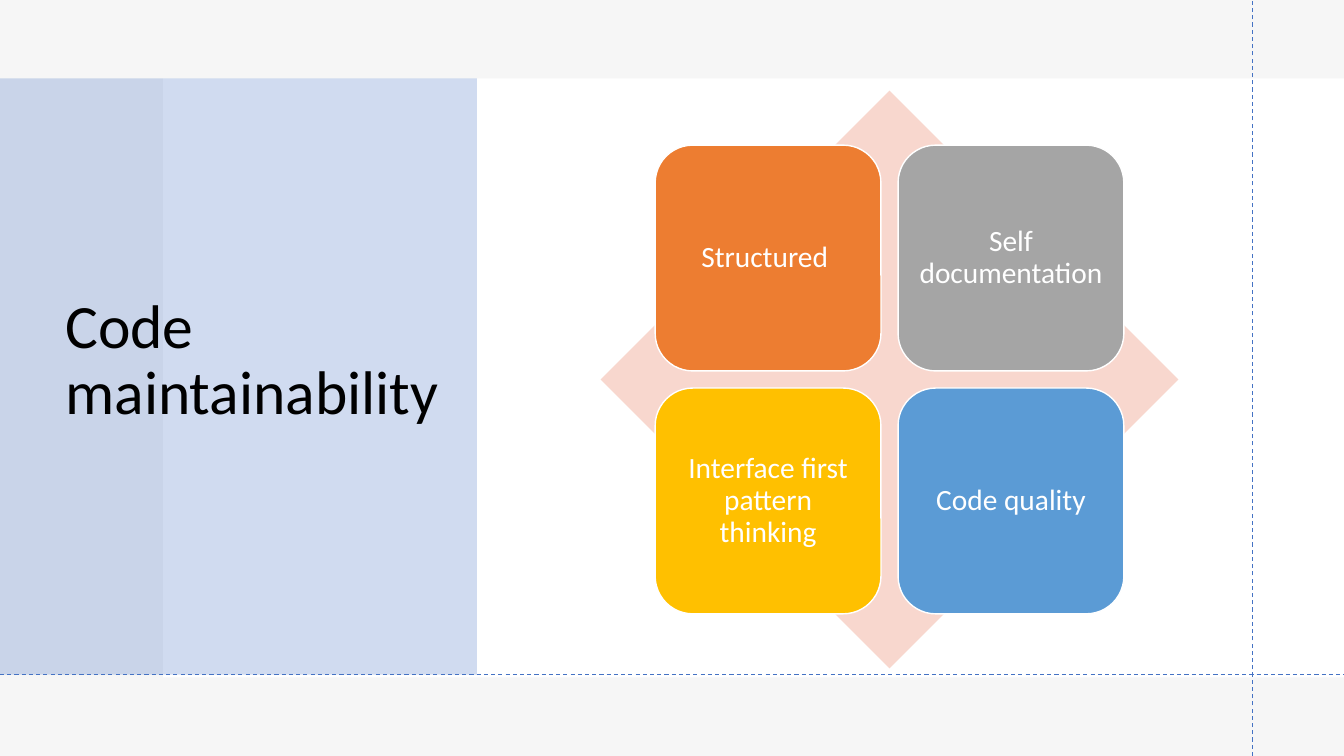
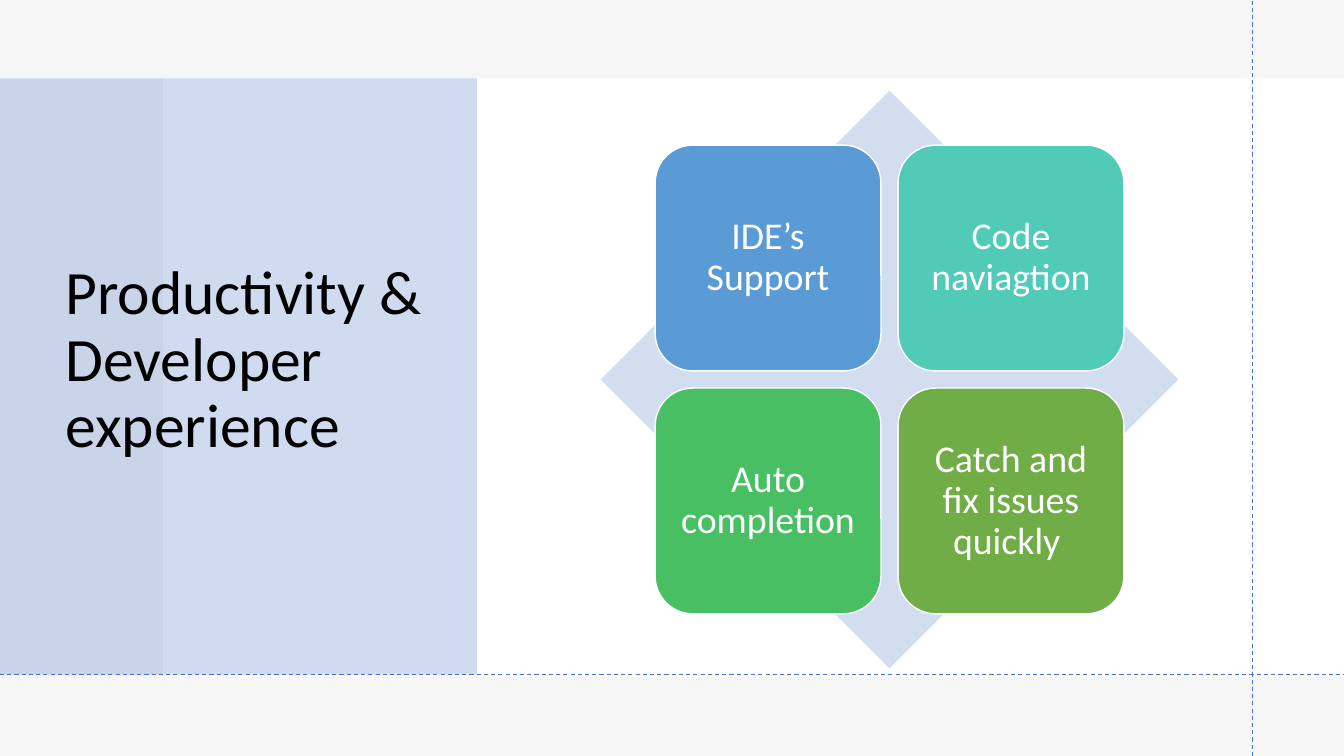
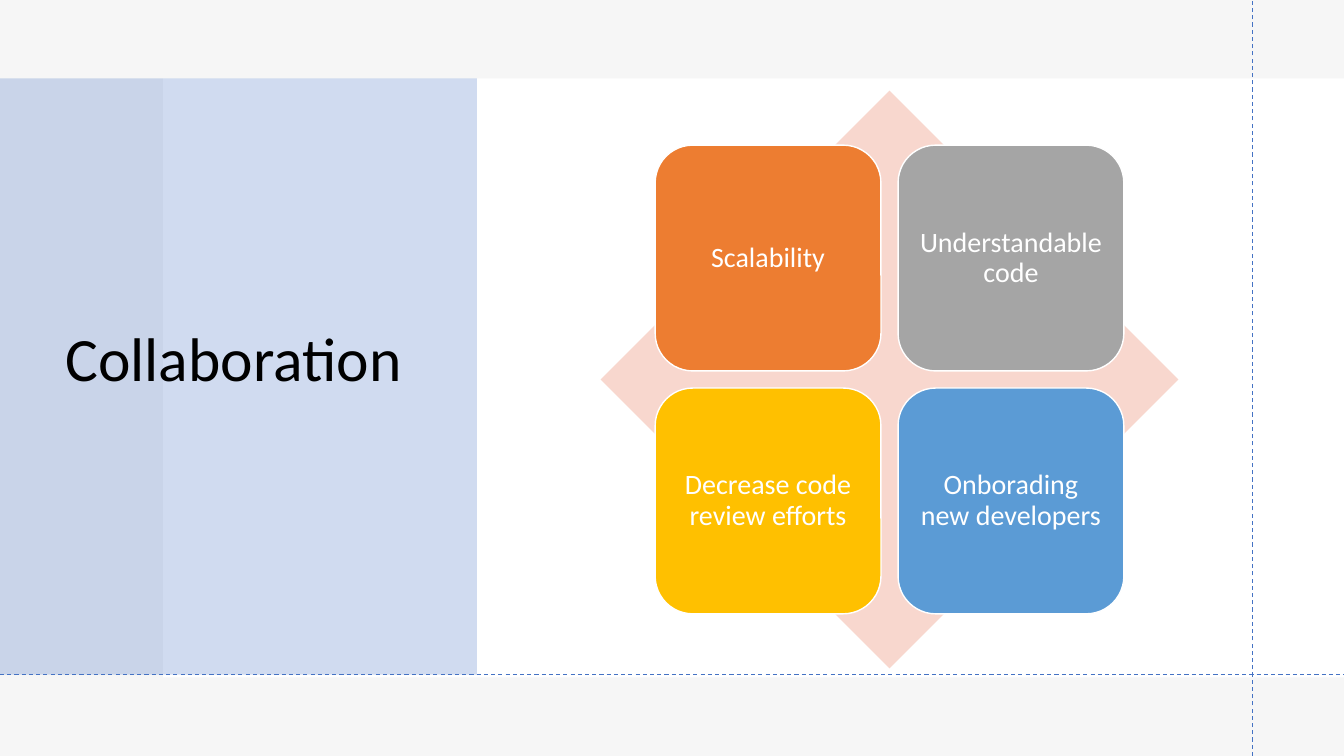
from lxml import etree
from pptx import Presentation
from pptx.dml.color import RGBColor
from pptx.enum.dml import MSO_LINE
from pptx.enum.shapes import MSO_CONNECTOR, MSO_SHAPE
from pptx.enum.text import MSO_ANCHOR, PP_ALIGN
from pptx.oxml.ns import qn
from pptx.util import Pt

WIDTH, HEIGHT = 960, 540
FONT = "Calibri"

BLACK = RGBColor(0x00, 0x00, 0x00)
WHITE = RGBColor(0xFF, 0xFF, 0xFF)
PALE_GREY = RGBColor(0xF6, 0xF6, 0xF6)
ACCENT = RGBColor(0x44, 0x72, 0xC4)
ORANGE = RGBColor(0xED, 0x7D, 0x31)
GREY = RGBColor(0xA5, 0xA5, 0xA5)
GOLD = RGBColor(0xFF, 0xC0, 0x00)
BLUE = RGBColor(0x5B, 0x9B, 0xD5)
TEAL = RGBColor(0x52, 0xCA, 0xB8)
GREEN = RGBColor(0x49, 0xBF, 0x64)
OLIVE = RGBColor(0x70, 0xAD, 0x47)
PALE_ORANGE = RGBColor(0xF8, 0xD7, 0xCE)
PALE_BLUE = RGBColor(0xD2, 0xDE, 0xEF)

WARM_TILES = (ORANGE, GREY, GOLD, BLUE)
COOL_TILES = (BLUE, TEAL, GREEN, OLIVE)

# The diamond and its two-by-two tiles share one centre.
CENTRE_X, CENTRE_Y = 635.4, 271.1
DIAMOND = 412.6
TILE, GAP = 161.3, 12.2
GRID = 2 * TILE + GAP

# Title, diamond colour, tile colours, text size, tile labels
SLIDES = [
    ("Code maintainability", PALE_ORANGE, WARM_TILES, 21,
     ("Structured ", "Self documentation",
      "Interface first pattern thinking", "Code quality")),
    ("Productivity & Developer experience", PALE_BLUE, COOL_TILES, 27,
     ("IDE’s Support", "Code naviagtion",
      "Auto completion", "Catch and fix issues quickly ")),
    ("Collaboration", PALE_ORANGE, WARM_TILES, 20,
     ("Scalability", "Understandable code",
      "Decrease code review efforts", "Onborading new developers")),
]


def add_filled(page, kind, left, top, width, height, colour):
    """Add a preset shape with a plain fill, no outline and no shadow."""
    shape = page.shapes.add_shape(kind, Pt(left), Pt(top), Pt(width), Pt(height))
    shape.shadow.inherit = False
    shape.fill.solid()
    shape.fill.fore_color.rgb = colour
    shape.line.fill.background()
    return shape


def write(shape, text, size, colour, align):
    """Set one wrapped, vertically centred paragraph."""
    frame = shape.text_frame
    frame.word_wrap = True
    frame.vertical_anchor = MSO_ANCHOR.MIDDLE
    frame.text = text
    para = frame.paragraphs[0]
    para.alignment = align
    para.line_spacing = 0.9
    font = para.runs[0].font
    font.name = FONT
    font.size = Pt(size)
    font.color.rgb = colour


deck = Presentation()
deck.slide_width, deck.slide_height = Pt(WIDTH), Pt(HEIGHT)

for title, diamond_colour, tile_colours, size, labels in SLIDES:
    page = deck.slides.add_slide(deck.slide_layouts[6])
    page.background.fill.solid()
    page.background.fill.fore_color.rgb = PALE_GREY

    add_filled(page, MSO_SHAPE.RECTANGLE, 116.6, 56, WIDTH - 116.6, 427.8, WHITE)
    panel = add_filled(page, MSO_SHAPE.RECTANGLE, 0, 56, 340.6, 426, ACCENT)
    panel_colour = panel.fill._xPr.find(qn("a:solidFill"))[0]
    etree.SubElement(panel_colour, qn("a:alpha"), val="25000")

    title_box = page.shapes.add_textbox(Pt(39.6), Pt(53.3), Pt(284.4), Pt(409.7))
    write(title_box, title, 44, BLACK, PP_ALIGN.LEFT)

    for x1, y1, x2, y2 in ((895, HEIGHT, 895, 0), (0, 481.7, WIDTH, 481.7)):
        guide = page.shapes.add_connector(
            MSO_CONNECTOR.STRAIGHT, Pt(x1), Pt(y1), Pt(x2), Pt(y2))
        guide.line.color.rgb = ACCENT
        guide.line.width = Pt(0.75)
        guide.line.dash_style = MSO_LINE.DASH
        etree.SubElement(guide._element.spPr, qn("a:effectLst"))

    add_filled(page, MSO_SHAPE.DIAMOND, CENTRE_X - DIAMOND / 2,
               CENTRE_Y - DIAMOND / 2, DIAMOND, DIAMOND, diamond_colour)

    for index, (label, colour) in enumerate(zip(labels, tile_colours)):
        row, column = divmod(index, 2)
        tile = add_filled(page, MSO_SHAPE.ROUNDED_RECTANGLE,
                          CENTRE_X - GRID / 2 + column * (TILE + GAP),
                          CENTRE_Y - GRID / 2 + row * (TILE + GAP),
                          TILE, TILE, colour)
        tile.line.color.rgb = WHITE
        tile.line.width = Pt(1)
        write(tile, label, size, WHITE, PP_ALIGN.CENTER)
        frame = tile.text_frame
        frame.margin_left = frame.margin_right = Pt(0.3 * size)
        frame.margin_top = frame.margin_bottom = Pt(0.3 * size)

deck.save("out.pptx")
